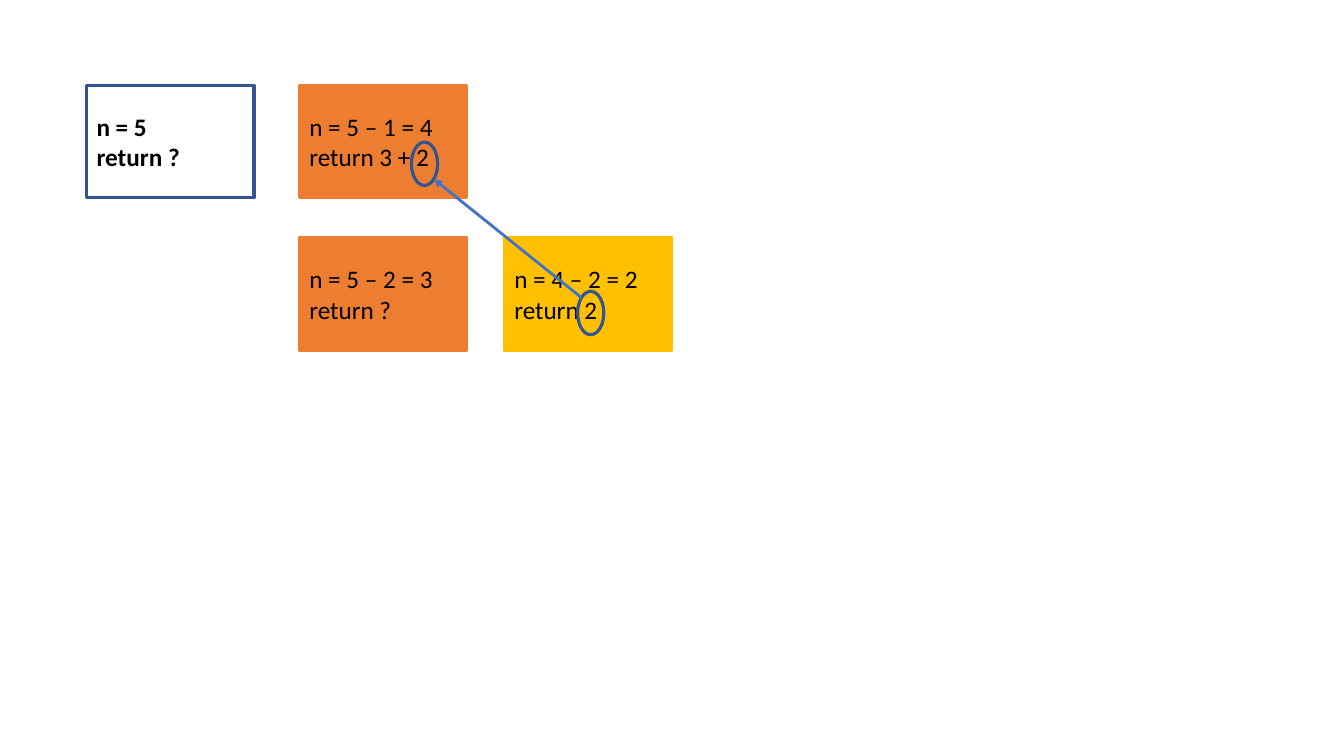
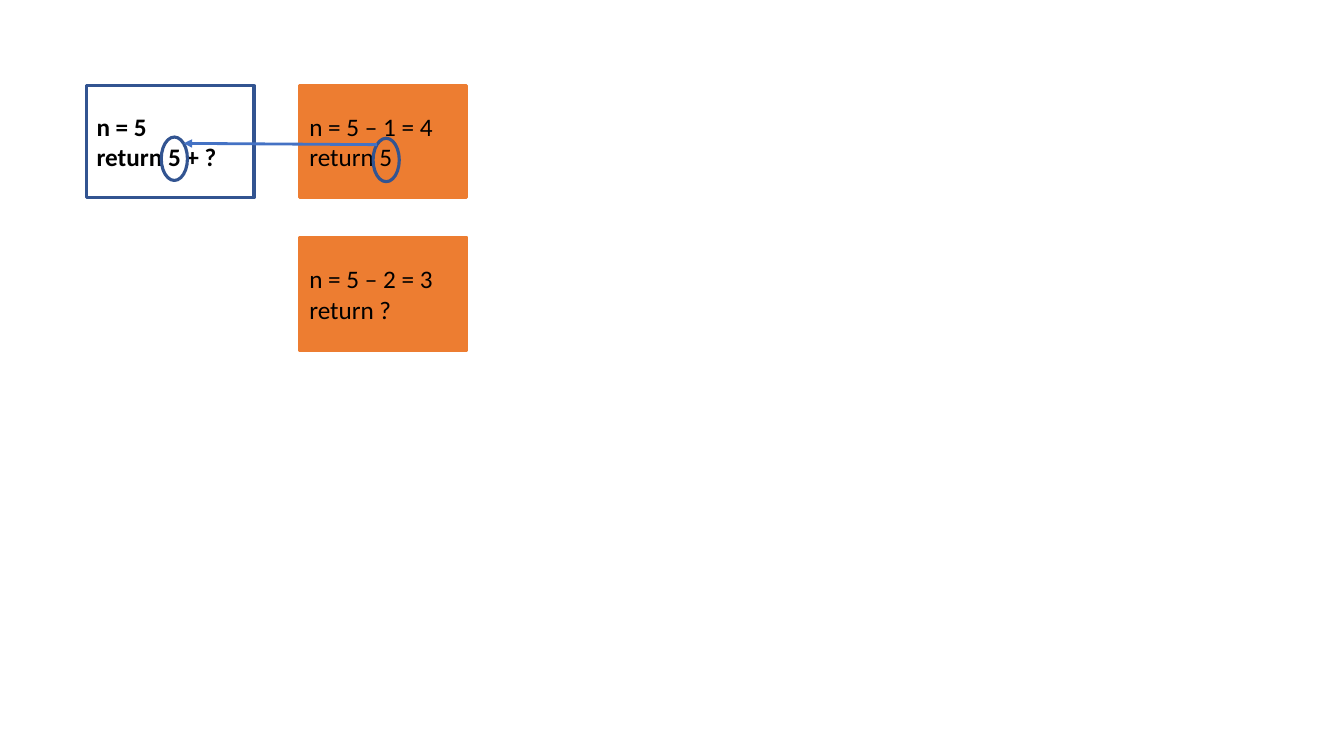
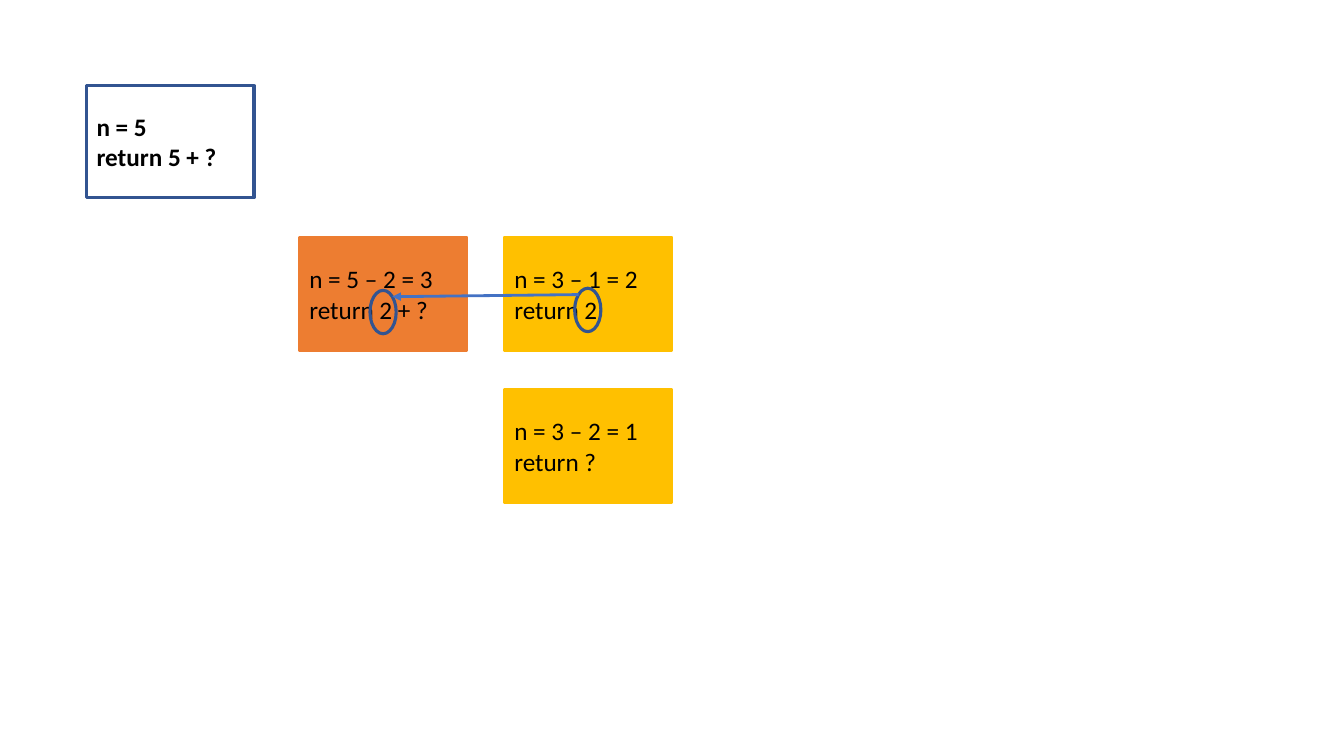
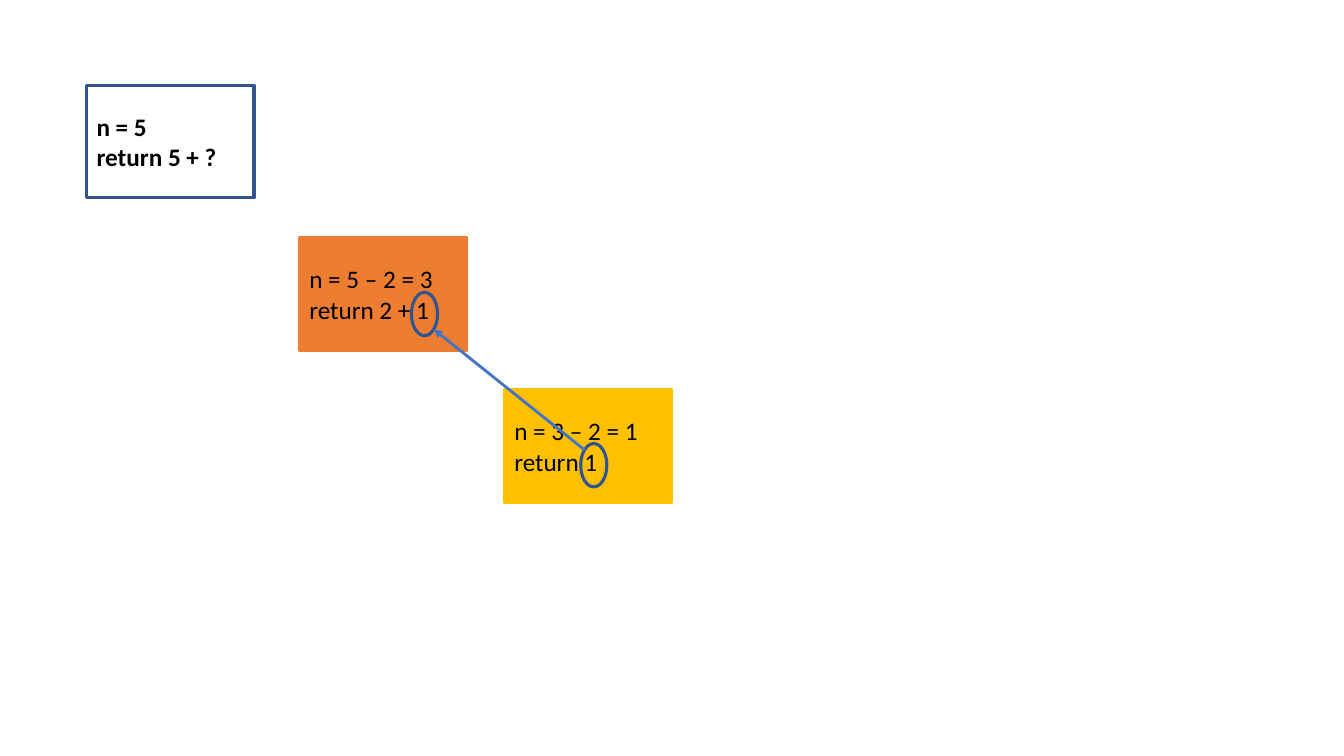
from dataclasses import dataclass
from math import sqrt

from lxml import etree
from pptx import Presentation
from pptx.dml.color import RGBColor
from pptx.enum.shapes import MSO_CONNECTOR, MSO_SHAPE
from pptx.enum.text import MSO_ANCHOR, PP_ALIGN
from pptx.oxml.ns import qn
from pptx.util import Pt

RECTANGLE = MSO_SHAPE.RECTANGLE
OVAL = MSO_SHAPE.OVAL
STRAIGHT = MSO_CONNECTOR.STRAIGHT
LEFT = PP_ALIGN.LEFT
MIDDLE = MSO_ANCHOR.MIDDLE


@dataclass(frozen=True)
class Theme:
    font: str = "Calibri"
    text_size: float = 18
    text: str = "000000"
    outline: str = "325491"
    arrow: str = "4472C4"
    depth_fills: tuple = (None, "ED7D31", "FFC000")
    box_line: float = 2.5
    ring_line: float = 2.25
    arrow_line: float = 2


THEME = Theme()

# Content: each call is (depth, row, lines).
# "returns" holds the receiving call, then the returning one,
# each as (call index, ring offset inside its box).
STEPS = [
    {
        "calls": [
            (0, 0, ["n = 5", "return ?"]),
            (1, 0, ["n = 5 – 1 = 4", "return 3 + 2"]),
            (1, 1, ["n = 5 – 2 = 3", "return ?"]),
            (2, 1, ["n = 4 – 2 = 2", "return 2"]),
        ],
        "returns": [(1, (80, 40.3)), (3, (52.3, 38.2))],
    },
    {
        "calls": [
            (0, 0, ["n = 5", "return 5 + ?"]),
            (1, 0, ["n = 5 – 1 = 4", "return 5"]),
            (1, 1, ["n = 5 – 2 = 3", "return ?"]),
        ],
        "returns": [(0, (53.3, 36.7)), (1, (52.6, 37.6))],
    },
    {
        "calls": [
            (0, 0, ["n = 5", "return 5 + ?"]),
            (1, 1, ["n = 5 – 2 = 3", "return 2 + ?"]),
            (2, 1, ["n = 3 – 1 = 2", "return 2"]),
            (2, 2, ["n = 3 – 2 = 1", "return ?"]),
        ],
        "returns": [(1, (50.4, 37.5)), (2, (50.2, 36))],
    },
    {
        "calls": [
            (0, 0, ["n = 5", "return 5 + ?"]),
            (1, 1, ["n = 5 – 2 = 3", "return 2 + 1"]),
            (2, 2, ["n = 3 – 2 = 1", "return 1"]),
        ],
        "returns": [(1, (80, 38.9)), (2, (54.5, 38.2))],
    },
]

# Layout, in points
SLIDE_SIZE = (960, 540)
COLUMN_LEFTS = (61.9, 213.9, 360.3)
FIRST_TOP, ROW_PITCH = 61.2, 108.7
BOX_SIZE = (119.5, 80)
RING_SIZE = (18.7, 31)
NEAR = (1 - sqrt(0.5)) / 2  # where a diagonal meets the ring, as a share of its size
FAR = 1 - NEAR


def color(value):
    return RGBColor.from_string(value)


def write_text(shape, lines, *, size=THEME.text_size, bold=False, align=LEFT):
    frame = shape.text_frame
    frame.word_wrap = True
    frame.vertical_anchor = MIDDLE
    for index, line in enumerate(lines):
        paragraph = frame.add_paragraph() if index else frame.paragraphs[0]
        paragraph.alignment = align
        run = paragraph.add_run()
        run.text = line
        run.font.name = THEME.font
        run.font.size = Pt(size)
        run.font.bold = bold
        run.font.color.rgb = color(THEME.text)


def add_outline(slide, kind, position, size, *, line, line_width, fill=None):
    shape = slide.shapes.add_shape(kind, *map(Pt, position), *map(Pt, size))
    shape.shadow.inherit = False
    if fill:
        shape.fill.solid()
        shape.fill.fore_color.rgb = color(fill)
    else:
        shape.fill.background()
    shape.line.color.rgb = color(line)
    shape.line.width = Pt(line_width)
    return shape


def box_position(depth, row):
    return COLUMN_LEFTS[depth], FIRST_TOP + row * ROW_PITCH


def add_call(slide, depth, row, lines):
    fill = THEME.depth_fills[depth]
    box = add_outline(slide, RECTANGLE, box_position(depth, row), BOX_SIZE,
                      line=fill or THEME.outline, line_width=THEME.box_line, fill=fill)
    write_text(box, lines, bold=depth == 0)


def add_ring(slide, call, offset):
    depth, row, _ = call
    left, top = box_position(depth, row)
    position = left + offset[0], top + offset[1]
    add_outline(slide, OVAL, position, RING_SIZE,
                line=THEME.outline, line_width=THEME.ring_line)
    return position


def ring_point(position, across, down):
    return position[0] + across * RING_SIZE[0], position[1] + down * RING_SIZE[1]


def add_arrow(slide, tip, tail):
    arrow = slide.shapes.add_connector(STRAIGHT, *map(Pt, tip), *map(Pt, tail))
    arrow.line.color.rgb = color(THEME.arrow)
    arrow.line.width = Pt(THEME.arrow_line)
    etree.SubElement(arrow.line._get_or_add_ln(), qn("a:headEnd"), type="triangle")
    etree.SubElement(arrow._element.spPr, qn("a:effectLst"))


def add_step(presentation, step):
    slide = presentation.slides.add_slide(presentation.slide_layouts[6])
    calls = step["calls"]
    for call in calls:
        add_call(slide, *call)

    # The returned value travels from the deeper call to its caller
    receiver, returner = [calls[index] for index, _ in step["returns"]]
    tip_ring, tail_ring = [add_ring(slide, calls[index], offset)
                           for index, offset in step["returns"]]
    tip_side = NEAR if receiver[1] == returner[1] else FAR
    add_arrow(slide, ring_point(tip_ring, FAR, tip_side),
              ring_point(tail_ring, NEAR, NEAR))


def main():
    presentation = Presentation()
    presentation.slide_width, presentation.slide_height = map(Pt, SLIDE_SIZE)
    for step in STEPS:
        add_step(presentation, step)
    presentation.save("out.pptx")


if __name__ == "__main__":
    main()
